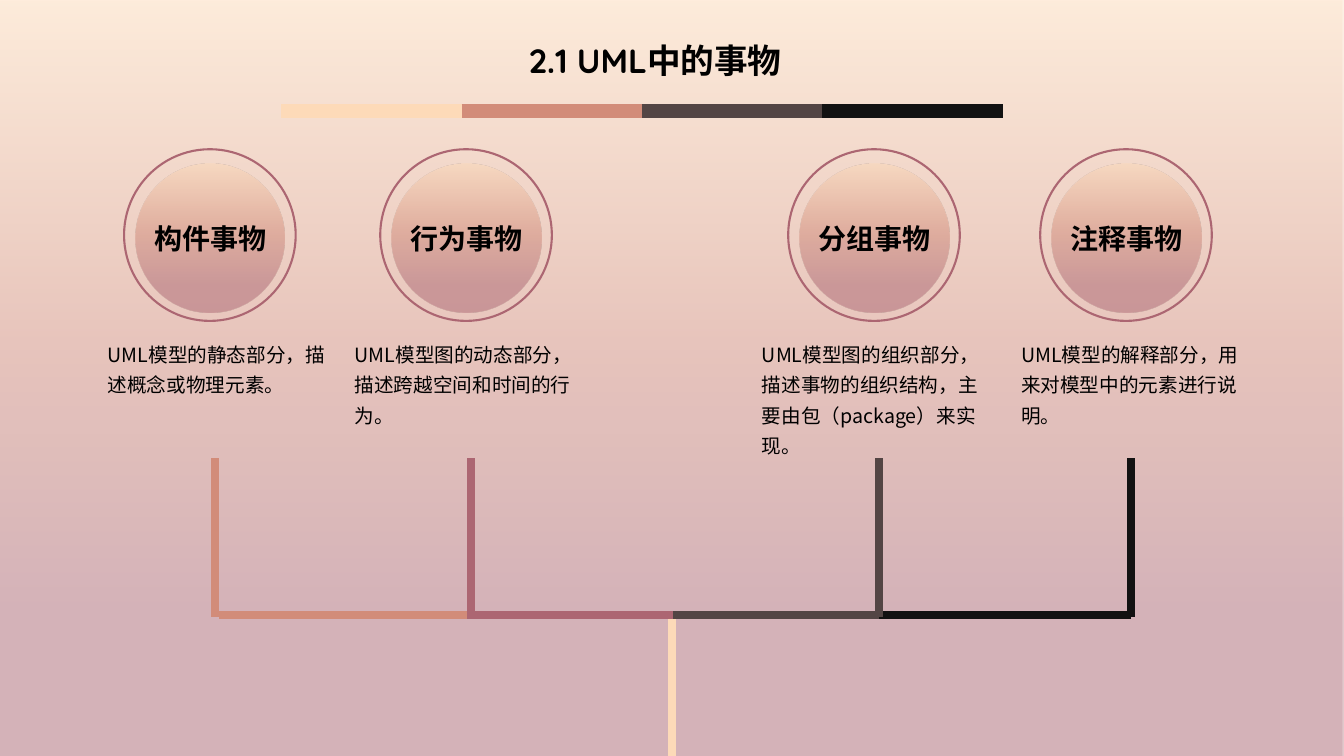
from dataclasses import dataclass

from lxml.etree import SubElement
from pptx import Presentation
from pptx.dml.color import RGBColor
from pptx.enum.shapes import MSO_CONNECTOR, MSO_SHAPE
from pptx.enum.text import MSO_ANCHOR, MSO_AUTO_SIZE, PP_ALIGN
from pptx.oxml.ns import qn
from pptx.util import Pt

COLORS = {
    "cream": "FDDAB8",
    "clay": "D28C79",
    "berry": "AC6672",
    "brown": "534544",
    "black": "121212",
    "text": "000000",
}
GRADIENT = [(0, "cream"), (45, "clay"), (80, "berry"), (100, "berry")]
LATIN_FONT = "Quicksand"
CHINESE_FONT = "Noto Sans CJK SC"
STEM_OFFSET = 64.9


@dataclass
class Thing:
    label: str
    description: str
    color: str
    ring_left: float
    description_left: float


THINGS = [
    Thing("构件事物", "UML模型的静态部分，描述概念或物理元素。", "clay", 88.6, 69.8),
    Thing("行为事物", "UML模型图的动态部分，描述跨越空间和时间的行为。", "berry", 271.6, 246.2),
    Thing("分组事物", "UML模型图的组织部分，描述事物的组织结构，主要由包（package）来实现。",
          "brown", 563, 537.1),
    Thing("注释事物", "UML模型的解释部分，用来对模型中的元素进行说明。", "black", 743, 722.2),
]


def color_of(name):
    return RGBColor.from_string(COLORS[name])


def fill_gradient(shape):
    shape.fill.gradient()
    shape.fill.gradient_angle = 270
    stops = shape.element.spPr.find(qn("a:gradFill")).find(qn("a:gsLst"))
    for stop in list(stops):
        stops.remove(stop)
    for position, name in GRADIENT:
        stop = SubElement(stops, qn("a:gs"), pos=str(position * 1000))
        color = SubElement(stop, qn("a:srgbClr"), val=COLORS[name])
        SubElement(color, qn("a:alpha"), val="50000")


def add_plain_shape(shapes, preset, left, top, width, height):
    shape = shapes.add_shape(preset, Pt(left), Pt(top), Pt(width), Pt(height))
    shape.shadow.inherit = False
    shape.line.fill.background()
    return shape


def add_line(slide, start_x, start_y, end_x, end_y, color, width):
    line = slide.shapes.add_connector(
        MSO_CONNECTOR.STRAIGHT, Pt(start_x), Pt(start_y), Pt(end_x), Pt(end_y))
    line.line.color.rgb = color_of(color)
    line.line.width = Pt(width)
    SubElement(line.element.spPr, qn("a:effectLst"))


def write_text(shape, text, size, font_name=CHINESE_FONT, bold=False,
               alignment=PP_ALIGN.LEFT, line_spacing=1.0):
    frame = shape.text_frame
    frame.word_wrap = True
    frame.text = text
    paragraph = frame.paragraphs[0]
    paragraph.alignment = alignment
    paragraph.line_spacing = line_spacing
    for run in paragraph.runs:
        run.font.name = font_name
        run.font.size = Pt(size)
        run.font.bold = bold
        run.font.color.rgb = color_of("text")
        SubElement(run.font._element, qn("a:ea"), typeface=CHINESE_FONT)


def add_background(slide, width, height):
    background = add_plain_shape(slide.shapes, MSO_SHAPE.RECTANGLE, 0, 0, width, height)
    fill_gradient(background)
    slide.shapes.element.insert(2, background.element)


def add_header(slide, left, top, width):
    title = slide.shapes.title
    title.left, title.top = Pt(left + 98.6), Pt(top)
    title.width, title.height = Pt(337), Pt(28.8)
    write_text(title, "2.1 UML中的事物", 24, LATIN_FONT, True, PP_ALIGN.CENTER, 0.9)
    title.text_frame.auto_size = MSO_AUTO_SIZE.NONE
    title.text_frame.vertical_anchor = MSO_ANCHOR.MIDDLE
    segment = width / 4
    for index, color in enumerate(["cream", "clay", "brown", "black"]):
        start = left + index * segment
        add_line(slide, start, top + 49, start + segment, top + 49, color, 10)


def add_tree(slide, center, top, height):
    bus = top + height
    add_line(slide, center, 540, center, bus + 1.5, "cream", 6)
    for thing in [THINGS[0], THINGS[1], THINGS[3], THINGS[2]]:
        stem = thing.ring_left + STEM_OFFSET
        bus_start = stem + 3 if thing.color == "clay" else stem
        if thing.color == "berry":
            bus_start -= 3
        add_line(slide, bus_start, bus, center + 1, bus, thing.color, 6)
        add_line(slide, stem, bus + 1.5, stem, top, thing.color, 6)


def add_thing(slide, thing, top):
    badge = slide.shapes.add_group_shape()
    disc_left = thing.ring_left + 8.3
    disc = add_plain_shape(badge.shapes, MSO_SHAPE.OVAL, disc_left, top + 10, 106.6, 106.6)
    fill_gradient(disc)
    ring = add_plain_shape(badge.shapes, MSO_SHAPE.OVAL, thing.ring_left, top, 122.6, 122.6)
    ring.fill.background()
    ring.line.color.rgb = color_of("berry")
    ring.line.width = Pt(1.5)
    label = slide.shapes.add_textbox(Pt(disc_left), Pt(top + 48.2), Pt(106.6), Pt(31.7))
    write_text(label, thing.label, 20, bold=True, alignment=PP_ALIGN.CENTER)
    description = slide.shapes.add_textbox(
        Pt(thing.description_left), Pt(top + 129.6), Pt(173.5), Pt(71))
    write_text(description, thing.description, 14, line_spacing=1.3)


def main():
    presentation = Presentation()
    presentation.slide_width = Pt(960)
    presentation.slide_height = Pt(540)
    slide = presentation.slides.add_slide(presentation.slide_layouts[5])
    add_background(slide, 960, 540)
    add_header(slide, 200.9, 30.2, 515.2)
    add_tree(slide, 480, 327, 112.2)
    for thing in THINGS:
        add_thing(slide, thing, 106.6)
    presentation.save("out.pptx")


if __name__ == "__main__":
    main()
